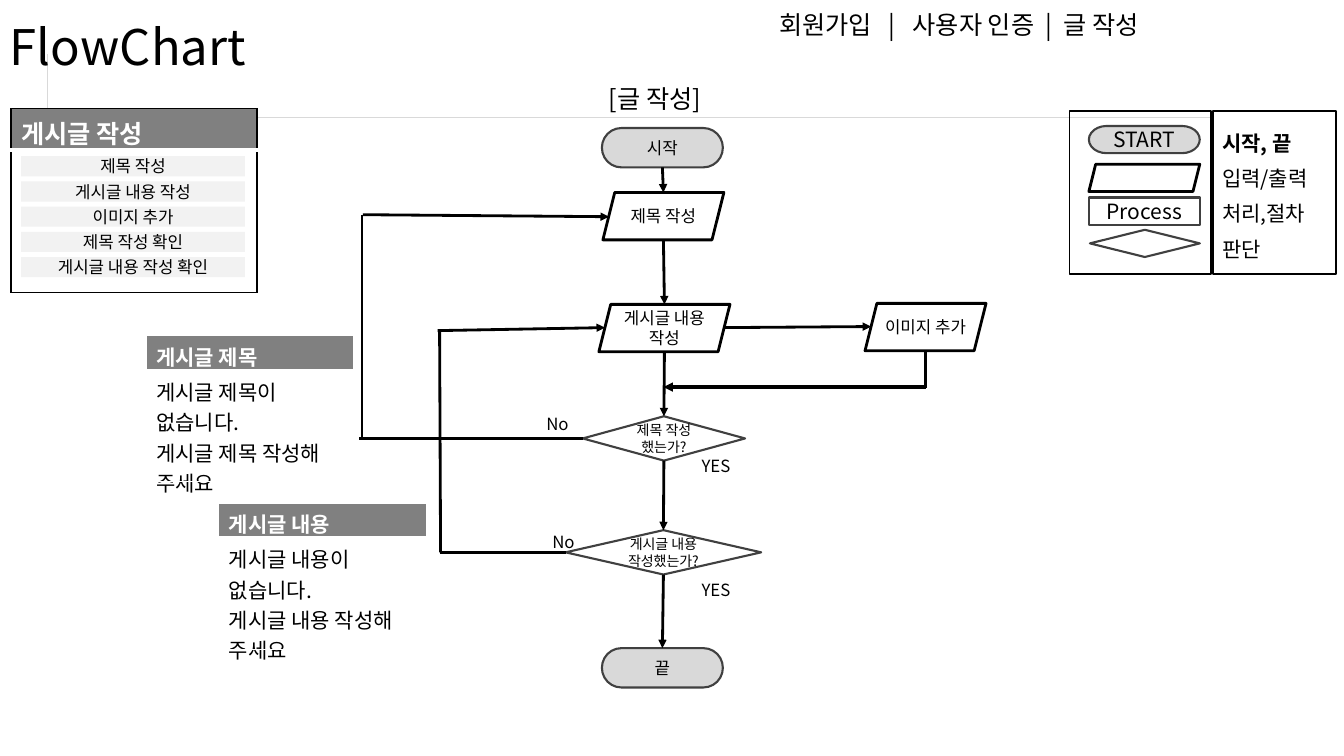
from lxml import etree
from pptx import Presentation
from pptx import util as u
from pptx.dml.color import RGBColor
from pptx.enum import shapes, text
from pptx.oxml import parse_xml
from pptx.oxml.ns import nsdecls, qn

FONT = "Noto Sans CJK KR"
GRID = u.Inches(0.1)
BLACK, WHITE, EDGE, PALE, GREY = "000000", "FFFFFF", "404040", "D9D9D9", "808080"
KIND = shapes.MSO_SHAPE
CENTER = text.PP_ALIGN.CENTER
MIDDLE = text.MSO_ANCHOR.MIDDLE
TOP, LEFT, BOTTOM, RIGHT = range(4)


def color(value):
    return RGBColor.from_string(value)


def cells(*counts):
    return [round(count * GRID) for count in counts]


def write(frame, content, size=12, ink=BLACK, bold=False, align=None, spacing=None):
    for index, line in enumerate(content.split("\n")):
        para = frame.add_paragraph() if index else frame.paragraphs[0]
        para.alignment = align
        para.line_spacing = spacing
        span = para.add_run()
        span.text = line
        span.font.size = u.Pt(size)
        span.font.bold = bold
        span.font.name = FONT
        span.font.color.rgb = color(ink)
        etree.SubElement(span.font._element, qn("a:ea"), typeface=FONT)


def set_borders(cell, borders):
    properties = cell._tc.get_or_add_tcPr()
    for index, side in enumerate("LRTB"):
        ink, width = borders.get(side, (None, 0))
        paint = f'<a:solidFill><a:srgbClr val="{ink}"/></a:solidFill>' if ink else "<a:noFill/>"
        properties.insert(index, parse_xml(
            f'<a:ln{side} {nsdecls("a")} w="{u.Pt(width)}">{paint}</a:ln{side}>'))


class Flow:
    def __init__(self, page):
        self.page = page

    def label(self, place, content, anchor=None, **style):
        box = self.page.shapes.add_textbox(*cells(*place))
        box.text_frame.word_wrap = True
        box.text_frame.vertical_anchor = anchor
        write(box.text_frame, content, **style)

    def shape(self, kind, place, content="", fill=None, line=None, width=1.5, size=12):
        box = self.page.shapes.add_shape(kind, *cells(*place))
        box.shadow.inherit = False
        if fill:
            box.fill.solid()
            box.fill.fore_color.rgb = color(fill)
        else:
            box.fill.background()
        if line:
            box.line.color.rgb = color(line)
            box.line.width = u.Pt(width)
        else:
            box.line.fill.background()
        frame = box.text_frame
        frame.word_wrap = True
        frame.vertical_anchor = MIDDLE
        frame.margin_left = frame.margin_right = frame.margin_top = frame.margin_bottom = 0
        if content:
            write(frame, content, size=size, align=CENTER)
        return box

    def terminal(self, place, content, size=12):
        return self.shape(KIND.FLOWCHART_TERMINATOR, place, content, PALE, EDGE, size=size)

    def data(self, place, content=""):
        return self.shape(KIND.PARALLELOGRAM, place, content, line=BLACK, width=2)

    def decision(self, place, content=""):
        return self.shape(KIND.FLOWCHART_DECISION, place, content, WHITE, EDGE, size=10)

    def line(self, start, end, arrow=True, begin=None, finish=None, width=2):
        link = self.page.shapes.add_connector(
            shapes.MSO_CONNECTOR.STRAIGHT, *cells(*start, *end))
        if begin:
            link.begin_connect(*begin)
        if finish:
            link.end_connect(*finish)
        link.line.color.rgb = color(BLACK)
        link.line.width = u.Pt(width)
        if arrow:
            etree.SubElement(link.line._get_or_add_ln(), qn("a:tailEnd"), type="triangle")
        etree.SubElement(link._element.spPr, qn("a:effectLst"))

    def table(self, corner, width, rows):
        heights = [row["height"] for row in rows]
        frame = self.page.shapes.add_table(
            len(rows), 1, *cells(*corner, width, sum(heights)))
        table = frame.table
        table.first_row = table.horz_banding = False
        for index, row in enumerate(rows):
            table.rows[index].height = cells(row["height"])[0]
            cell = table.cell(index, 0)
            cell.margin_top, cell.margin_bottom = u.Inches(0.05), 0
            if row.get("fill"):
                cell.fill.solid()
                cell.fill.fore_color.rgb = color(row["fill"])
            else:
                cell.fill.background()
            set_borders(cell, row.get("borders", {}))
            if row.get("content"):
                write(cell.text_frame, row["content"], **row["style"])

    def panel(self, corner, width, title, size, heights, edge, body="", fill=None):
        side, gap = (edge, 1), (WHITE, 3)
        self.table(corner, width, [
            dict(height=heights[0], fill=GREY, content=title,
                 style=dict(size=size, ink=WHITE, bold=True),
                 borders=dict(L=side, R=side, T=side, B=gap)),
            dict(height=heights[1], fill=fill, content=body, style=dict(size=size),
                 borders=dict(L=side, R=side, T=gap, B=side)),
        ])


def draw_legend(flow):
    flow.data((108, 16.3, 11, 2.7))
    flow.terminal((108, 12.5, 11, 2.7), "START", size=15)
    flow.shape(KIND.FLOWCHART_PROCESS, (108, 19.6, 11, 2.7), "Process", WHITE, EDGE, size=15)
    flow.decision((108.1, 22.8, 10.9, 2.7))
    names = ["시작, 끝", "입력/출력", "처리,절차", "판단"]
    flow.table((120.2, 12.1), 12.4, [
        dict(height=3.5, content=name, style=dict(size=15, bold=name == names[0]))
        for name in names])
    for left, width in ((106.1, 14), (120.3, 12.2)):
        flow.shape(KIND.RECTANGLE, (left, 11, width, 16.2), line=BLACK, width=1)


def draw_notes(flow):
    flow.panel((1.1, 10.8), 24.4, "게시글 작성", 18, (4.1, 14.1), BLACK)
    steps = ["제목 작성", "게시글 내용 작성", "이미지 추가", "제목 작성 확인", "게시글 내용 작성 확인"]
    for index, step in enumerate(steps):
        flow.shape(KIND.RECTANGLE, (2.1, 15.5 + 2.5 * index, 22.2, 2), step, "F2F2F2")
    for corner, topic in (((14.5, 33.3), "제목"), ((21.7, 49.9), "내용")):
        flow.panel(corner, 20.6, f"게시글 {topic}", 15, (3.5, 11), WHITE,
                   f"게시글 {topic}이 없습니다.\n게시글 {topic} 작성해 주세요", WHITE)


def draw_chart(flow):
    start = flow.terminal((59.7, 12.7, 12, 3.9), "시작")
    finish = flow.terminal((59.7, 64.3, 12, 3.9), "끝")
    flow.data((59.8, 19.1, 12, 4.7), "제목 작성")
    flow.data((59.4, 30.2, 13, 4.7), "게시글 내용 작성")
    flow.data((85.8, 30.1, 12, 4.7), "이미지 추가")
    has_title = flow.decision((57.8, 41.3, 16.1, 4.4), "제목 작성 했는가?")
    has_body = flow.decision((56.1, 52.6, 19.4, 4.4), "게시글 내용\n작성했는가?")

    flow.line((65.8, 16.8), (65.8, 19.1), begin=(start, BOTTOM))
    flow.line((65.8, 23.8), (65.9, 30.2))
    flow.line((65.9, 34.9), (65.8, 41.3), finish=(has_title, TOP))
    flow.line((65.8, 45.7), (65.8, 52.6), begin=(has_title, BOTTOM), finish=(has_body, TOP))
    flow.line((65.8, 57), (65.7, 64.3), begin=(has_body, BOTTOM), finish=(finish, TOP))

    flow.line((71.8, 32.5), (86.4, 32.4))
    flow.line((91.8, 34.9), (91.8, 38.5), arrow=False)
    flow.line((91.8, 38.4), (65.8, 38.4), width=2.25)

    flow.line((57.8, 43.5), (35.6, 43.5), arrow=False, begin=(has_title, LEFT))
    flow.line((35.9, 43.6), (35.9, 21.3), arrow=False)
    flow.line((36, 21.3), (60.4, 21.5))
    flow.line((56.1, 54.8), (43.6, 54.8), arrow=False, begin=(has_body, LEFT))
    flow.line((43.7, 54.8), (43.6, 32.7), arrow=False)
    flow.line((43.4, 32.8), (60, 32.5))

    answers = [("YES", 68.6, 44.7), ("YES", 68.6, 57), ("No", 53.2, 40.6), ("No", 53.8, 52.3)]
    for answer, left, top in answers:
        flow.label((left, top, 7.9, 3), answer)


def main():
    deck = Presentation()
    deck.slide_width, deck.slide_height = u.Inches(13.33), u.Inches(7.5)
    flow = Flow(deck.slides.add_slide(deck.slide_layouts[6]))
    hairline = (PALE, 0.25)
    flow.table((4.7, 5.4), 115.6, [dict(height=6.2, borders=dict(L=hairline, B=hairline))])
    flow.label((0, 1.6, 41.3, 6.7), "FlowChart", anchor=MIDDLE, size=35, spacing=0.9)
    flow.label((59.4, 7.8, 18.3, 4), "[글 작성]", size=18)
    flow.label((76.3, 0.4, 59.1, 4), "회원가입   |   사용자 인증  |  글 작성", size=18)
    draw_legend(flow)
    draw_notes(flow)
    draw_chart(flow)
    deck.save("out.pptx")


if __name__ == "__main__":
    main()
